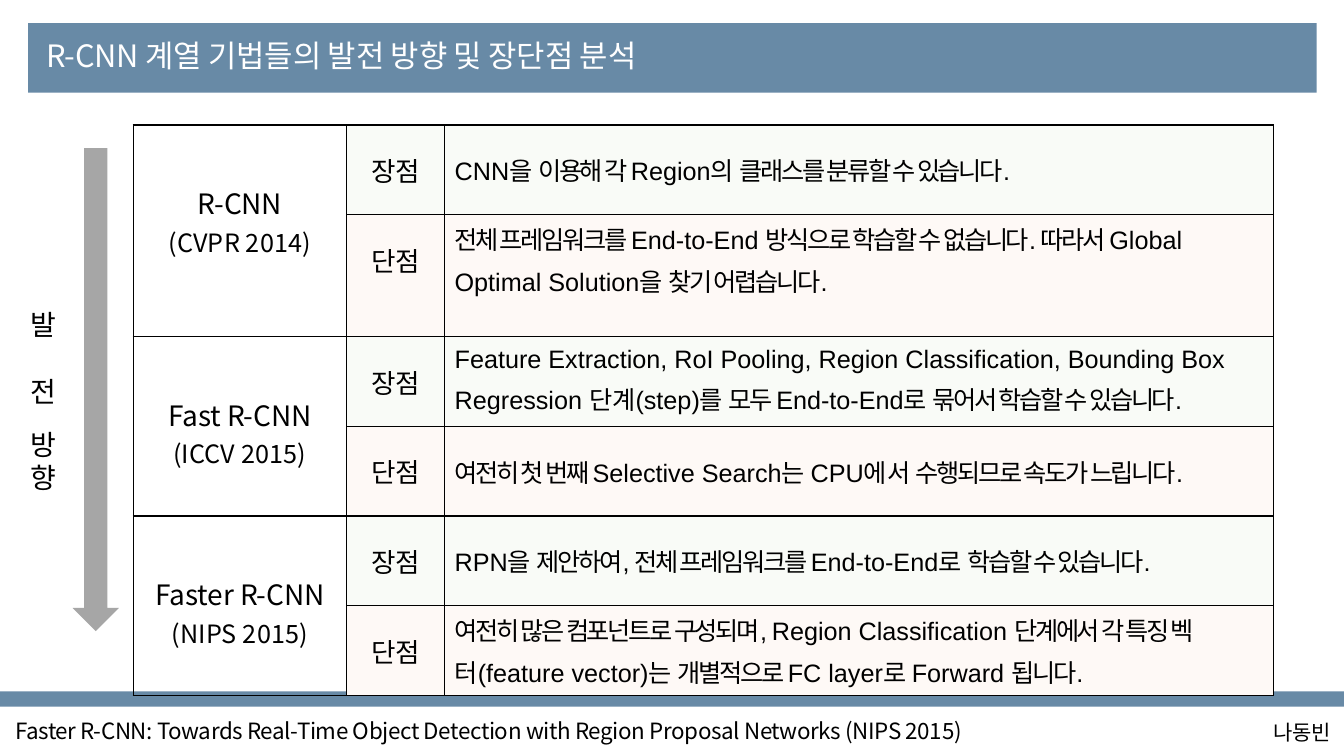
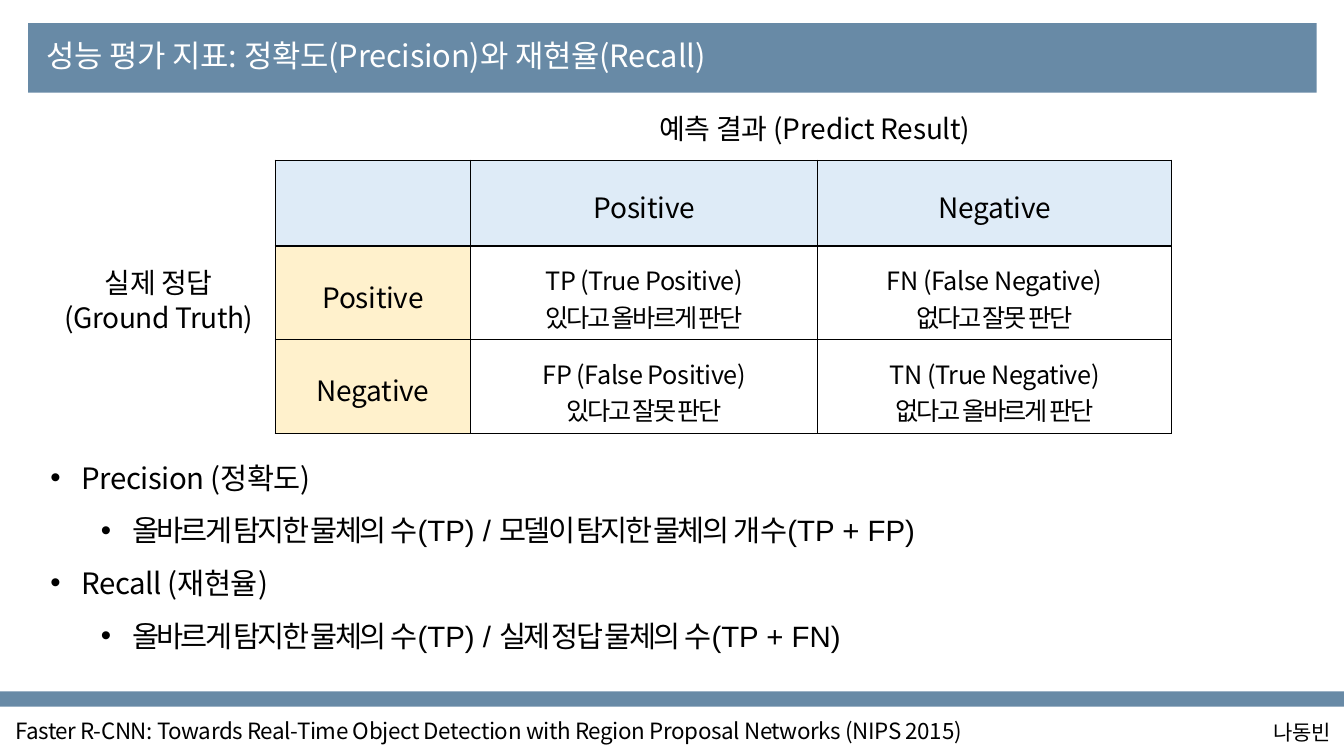
"""Build two slides on the R-CNN family and on detection metrics."""
from itertools import groupby
from lxml.etree import SubElement
from pptx import Presentation
from pptx.dml.color import RGBColor
from pptx.enum.shapes import MSO_SHAPE
from pptx.enum.text import MSO_ANCHOR, MSO_AUTO_SIZE, PP_ALIGN
from pptx.oxml.ns import qn
from pptx.util import Inches, Pt

NOTO, ARIAL = "Noto Sans CJK JP", "Arial"
BLUE, GRAY, BLACK, WHITE = "688AA6", "A6A6A6", "000000", "FFFFFF"
GREEN, PINK, SKY, SAND = "F9FBF7", "FEF9F6", "DEEBF7", "FFF1CC"
WIDE, HIGH = 13.33, 7.5
LEFT, MID = PP_ALIGN.LEFT, PP_ALIGN.CENTER

PAPER = "Faster R-CNN: Towards Real-Time Object Detection with Region Proposal Networks (NIPS 2015)"
AUTHOR = "나동빈"
TITLES = ["R-CNN 계열 기법들의 발전 방향 및 장단점 분석",
          "성능 평가 지표: 정확도(Precision)와 재현율(Recall)"]
TREND = [("발", 0), ("전", 24.2), ("방", 14.2), ("향", 0)]
MODELS = [
    ("R-CNN", "(CVPR 2014)",
     ["CNN을 이용해 각 Region의 클래스를 분류할 수 있습니다."],
     ["전체 프레임워크를 End-to-End 방식으로 학습할 수 없습니다. 따라서 Global",
      "Optimal Solution을 찾기 어렵습니다."]),
    ("Fast R-CNN", "(ICCV 2015)",
     ["Feature Extraction, RoI Pooling, Region Classification, Bounding Box",
      "Regression 단계(step)를 모두 End-to-End로 묶어서 학습할 수 있습니다."],
     ["여전히 첫 번째 Selective Search는 CPU에서 수행되므로 속도가 느립니다."]),
    ("Faster R-CNN", "(NIPS 2015)",
     ["RPN을 제안하여, 전체 프레임워크를 End-to-End로 학습할 수 있습니다."],
     ["여전히 많은 컴포넌트로 구성되며, Region Classification 단계에서 각 특징 벡",
      "터(feature vector)는 개별적으로 FC layer로 Forward 됩니다."]),
]
SIDES = [("장점", GREEN), ("단점", PINK)]
CLASSES = ["Positive", "Negative"]
CELLS = [[("TP (True Positive)", "있다고 올바르게 판단"),
          ("FN (False Negative)", "없다고 잘못 판단")],
         [("FP (False Positive)", "있다고 잘못 판단"),
          ("TN (True Negative)", "없다고 올바르게 판단")]]
POINTS = [("Precision (정확도)", 0),
          ("올바르게 탐지한 물체의 수(TP) / 모델이 탐지한 물체의 개수(TP + FP)", 1),
          ("Recall (재현율)", 0),
          ("올바르게 탐지한 물체의 수(TP) / 실제 정답 물체의 수(TP + FN)", 1)]


def rgb(code):
    return RGBColor.from_string(code)


def paint(shape, code):
    shape.shadow.inherit = False
    shape.fill.solid()
    shape.fill.fore_color.rgb = rgb(code)
    shape.line.fill.background()


def place(shape, left, top, width, height):
    shape.left, shape.top = Inches(left), Inches(top)
    shape.width, shape.height = Inches(width), Inches(height)


def pad(box, left=0, top=0, right=0, bottom=0):
    box.margin_left, box.margin_top = Inches(left), Inches(top)
    box.margin_right, box.margin_bottom = Inches(right), Inches(bottom)


def korean(word):
    return (any("가" <= c <= "힣" for c in word)
            and not any(c.isascii() and c.isalpha() for c in word))


def write(para, text, size, face=NOTO, color=BLACK, align=LEFT, gap=0, pitch=1.0, spc=-0.2):
    para.alignment, para.space_before, para.line_spacing = align, Pt(gap), pitch
    font = para.font
    font.size, font.name, font.color.rgb = Pt(size), face, rgb(color)
    groups = [(tight, " ".join(words)) for tight, words
              in groupby(text.split(), lambda w: face == ARIAL and korean(w))]
    for i, (tight, part) in enumerate(groups):
        run = para.add_run()
        run.text = part + (" " if i < len(groups) - 1 else "")
        space = -0.09 * size if tight else 0 if face == ARIAL else spc
        run.font._element.set("spc", str(round(space * 100)))


def fill(frame, lines):
    for i, (text, size, style) in enumerate(lines):
        para = frame.add_paragraph() if i else frame.paragraphs[0]
        write(para, text, size, **style)


def label(slide, box, lines, anchor=MSO_ANCHOR.MIDDLE):
    frame = slide.shapes.add_textbox(*map(Inches, box)).text_frame
    frame.word_wrap, frame.vertical_anchor = True, anchor
    pad(frame)
    fill(frame, lines)


def cell_in(cell, lines, code=None, **edges):
    pad(cell, **edges)
    cell.vertical_anchor = MSO_ANCHOR.MIDDLE
    fill(cell.text_frame, lines)


def grid(slide, left, top, cols, rows):
    table = slide.shapes.add_table(len(rows), len(cols), Inches(left), Inches(top),
                                   Inches(sum(cols)), Inches(sum(rows))).table
    table.first_row = table.horz_banding = False
    for col, width in zip(table.columns, cols):
        col.width = Inches(width)
    for row, height in zip(table.rows, rows):
        row.height = Inches(height)
    return table


def finish(table, shade):
    for r, row in enumerate(table.rows):
        for c, cell in enumerate(row.cells):
            props = cell._tc.get_or_add_tcPr()
            for side in ("lnL", "lnR", "lnT", "lnB"):
                line = SubElement(props, qn("a:" + side), w=str(Pt(1)))
                ink = SubElement(line, qn("a:solidFill"))
                SubElement(ink, qn("a:srgbClr"), val=BLACK)
            code = shade(r, c)
            if code:
                cell.fill.solid()
                cell.fill.fore_color.rgb = rgb(code)
            else:
                cell.fill.background()


def start(deck, layout, title):
    slide = deck.slides.add_slide(deck.slide_layouts[layout])
    head = slide.shapes.title
    place(head, 0.28, 0.23, 12.78, 0.69)
    head.fill.solid()
    head.fill.fore_color.rgb = rgb(BLUE)
    frame = head.text_frame
    frame.auto_size, frame.vertical_anchor = MSO_AUTO_SIZE.NONE, MSO_ANCHOR.MIDDLE
    pad(frame, left=0.18, bottom=0.05)
    fill(frame, [(title, 22, {"color": WHITE, "spc": -0.1})])
    bar = slide.shapes.add_shape(MSO_SHAPE.RECTANGLE, 0, Inches(6.86), Inches(WIDE), Inches(0.15))
    paint(bar, BLUE)
    label(slide, (0.15, 7.12, 9.92, 0.27), [(PAPER, 16, {"pitch": Pt(17.8), "spc": -0.25})])
    label(slide, (12.63, 7.14, 0.6, 0.26), [(AUTHOR, 15, {"pitch": Pt(16.8)})])
    return slide


def methods(deck):
    slide = start(deck, 5, TITLES[0])
    step, extra = 0.89, 0.32
    rows = [step, step + extra] + [step] * 4
    table = grid(slide, 1.32, 1.24, [2.12, 0.97, 8.22], rows)
    for m, (name, venue, *sides) in enumerate(MODELS):
        top = 2 * m
        slack = extra if m == 0 else 0
        table.cell(top, 0).merge(table.cell(top + 1, 0))
        cell_in(table.cell(top, 0), [(name, 20, {"align": MID, "spc": -0.1}),
                                     (venue, 18, {"align": MID, "spc": 0.1})],
                top=0.12, bottom=slack)
        for s, lines in enumerate(sides):
            low = slack * s
            cell_in(table.cell(top + s, 1), [(SIDES[s][0], 19, {"align": MID})], bottom=low)
            cell_in(table.cell(top + s, 2),
                    [(text, 18, {"face": ARIAL, "gap": 4.3}) for text in lines],
                    left=0.1, bottom=low)
    finish(table, lambda r, c: SIDES[r % 2][1] if c else None)
    arrow = slide.shapes.add_shape(MSO_SHAPE.DOWN_ARROW, *map(Inches, (0.72, 1.47, 0.46, 4.79)))
    paint(arrow, GRAY)
    label(slide, (0.3, 3.06, 0.28, 1.7),
          [(text, 20, {"gap": gap, "pitch": Pt(23.6)}) for text, gap in TREND], MSO_ANCHOR.TOP)


def metrics(deck):
    slide = start(deck, 1, TITLES[1])
    table = grid(slide, 2.73, 1.59, [1.94, 3.44, 3.51], [0.85, 0.93, 0.93])
    for i, name in enumerate(CLASSES, 1):
        for cell in (table.cell(0, i), table.cell(i, 0)):
            cell_in(cell, [(name, 20, {"align": MID})], top=0.06)
        for j, (term, note) in enumerate(CELLS[i - 1], 1):
            cell_in(table.cell(i, j), [(term, 18, {"align": MID, "spc": -0.3}),
                                       (note, 18, {"align": MID, "face": ARIAL})], top=0.1)
    finish(table, lambda r, c: SKY if r == 0 else SAND if c == 0 else None)
    label(slide, (6.54, 1.09, 3.3, 0.36), [("예측 결과 (Predict Result)", 20, {})])
    label(slide, (0.55, 2.62, 2.05, 0.7),
          [(text, 20, {"align": MID, "pitch": Pt(25), "spc": -0.3})
           for text in ("실제 정답", "(Ground Truth)")])
    body = slide.placeholders[1]
    place(body, 0.48, 4.39, 9.09, 2.13)
    frame = body.text_frame
    frame.auto_size, frame.vertical_anchor = MSO_AUTO_SIZE.NONE, MSO_ANCHOR.TOP
    pad(frame)
    fill(frame, [(text, 21, {"face": ARIAL if level else NOTO, "pitch": Pt(37.6), "spc": -0.3})
                 for text, level in POINTS])
    for para, (text, level) in zip(frame.paragraphs, POINTS):
        para.level = level
        props = para._p.get_or_add_pPr()
        props.set("marL", str(Inches(0.33 + 0.5 * level)))
        props.set("indent", str(Inches(-0.31)))
        bullet = props.makeelement(qn("a:buChar"), {"char": "•"})
        props.find(qn("a:defRPr")).addprevious(bullet)


deck = Presentation()
deck.slide_width, deck.slide_height = Inches(WIDE), Inches(HIGH)
methods(deck)
metrics(deck)
deck.save("out.pptx")
